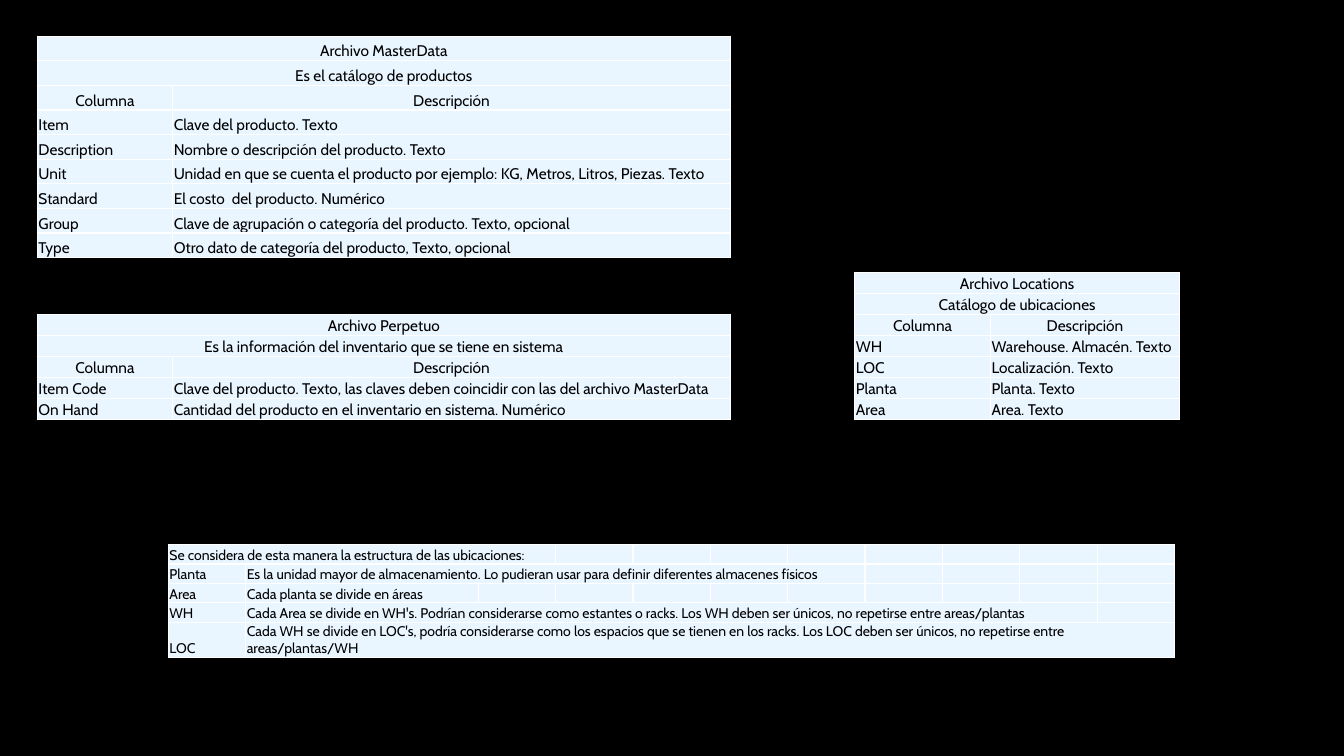
from lxml import etree
from pptx import Presentation
from pptx.dml.color import RGBColor
from pptx.enum.text import MSO_ANCHOR, PP_ALIGN
from pptx.oxml.ns import qn
from pptx.util import Cm, Pt

LEFT, CENTER = PP_ALIGN.LEFT, PP_ALIGN.CENTER
BOTTOM = MSO_ANCHOR.BOTTOM
FONT = "Cabin"
COLORS = {"back": "000000", "cell": "E9F5FF", "line": "FFFFFF", "text": "000000"}

HEADS = ("Columna", "Descripción")
FILES = [
    {
        "at": (0.94, 0.91), "cols": (3.41, 14.06), "row": 0.62,
        "titles": ("Archivo MasterData", "Es el catálogo de productos"),
        "fields": [
            ("Item", "Clave del producto. Texto"),
            ("Description", "Nombre o descripción del producto. Texto"),
            ("Unit", "Unidad en que se cuenta el producto por ejemplo: "
                     "KG, Metros, Litros, Piezas. Texto"),
            ("Standard", "El costo  del producto. Numérico"),
            ("Group", "Clave de agrupación o categoría del producto. Texto, opcional"),
            ("Type", "Otro dato de categoría del producto, Texto, opcional"),
        ],
    },
    {
        "at": (0.94, 7.92), "cols": (3.41, 14.06), "row": 0.53,
        "titles": ("Archivo Perpetuo",
                   "Es la información del inventario que se tiene en sistema"),
        "fields": [
            ("Item Code", "Clave del producto. Texto, las claves deben coincidir "
                          "con las del archivo MasterData"),
            ("On Hand", "Cantidad del producto en el inventario en sistema. Numérico"),
        ],
    },
    {
        "at": (21.54, 6.86), "cols": (3.42, 4.77), "row": 0.53,
        "titles": ("Archivo Locations", "Catálogo de ubicaciones"),
        "fields": [
            ("WH", "Warehouse. Almacén. Texto"),
            ("LOC", "Localización. Texto"),
            ("Planta", "Planta. Texto"),
            ("Area", "Area. Texto"),
        ],
    },
]

LEVELS = {"at": (4.24, 13.72), "cols": (1.95, 5.86) + (1.95,) * 9, "row": 0.49}
LEAD = "Se considera de esta manera la estructura de las ubicaciones:"
# Level name, meaning, columns the meaning spans
NOTES = [
    ("Planta", "Es la unidad mayor de almacenamiento. Lo pudieran usar para "
               "definir diferentes almacenes físicos", 6),
    ("Area", "Cada planta se divide en áreas", 1),
    ("WH", "Cada Area se divide en WH's. Podrían considerarse como estantes o racks. "
           "Los WH deben ser únicos, no repetirse entre areas/plantas", 9),
    ("LOC", "Cada WH se divide en LOC's, podría considerarse como los espacios que se "
            "tienen en los racks. Los LOC deben ser únicos, no repetirse entre "
            "areas/plantas/WH", 10),
]


def color(key):
    return RGBColor.from_string(COLORS[key])


def style(cell, size):
    """Set insets, borders, fill and the height of an empty line."""
    cell.margin_left = cell.margin_right = cell.margin_top = Cm(0.03)
    cell.margin_bottom = 0
    cell.vertical_anchor = BOTTOM
    props = cell._tc.get_or_add_tcPr()
    for side in ("lnL", "lnR", "lnT", "lnB"):
        line = etree.SubElement(props, qn("a:" + side), w=str(Pt(1)))
        fill = etree.SubElement(line, qn("a:solidFill"))
        etree.SubElement(fill, qn("a:srgbClr"), val=COLORS["line"])
    cell.fill.solid()
    cell.fill.fore_color.rgb = color("cell")
    end = etree.SubElement(cell.text_frame.paragraphs[0]._p, qn("a:endParaRPr"))
    end.set("sz", str(size * 100))


def write(cell, text, size, align):
    para = cell.text_frame.paragraphs[0]
    para.alignment = align
    run = para.add_run()
    run.text = text
    run.font.name = FONT
    run.font.size = Pt(size)
    run.font.color.rgb = color("text")


def add_grid(slide, spec, rows, size):
    """Draw rows given as (alignment, [(text, column span), ...])."""
    cols, high = spec["cols"], spec["row"]
    left, top = spec["at"]
    frame = slide.shapes.add_table(len(rows), len(cols), Cm(left), Cm(top),
                                   Cm(sum(cols)), Cm(high * len(rows)))
    table = frame.table
    table.first_row = table.horz_banding = False
    for col, width in zip(table.columns, cols):
        col.width = Cm(width)
    for row in table.rows:
        row.height = Cm(high)
    for cell in table.iter_cells():
        style(cell, size)
    for r, (align, parts) in enumerate(rows):
        c = 0
        for text, span in parts:
            cell = table.cell(r, c)
            if span > 1:
                cell.merge(table.cell(r, c + span - 1))
            write(cell, text, size, align)
            c += span


def main():
    deck = Presentation()
    deck.slide_width, deck.slide_height = Cm(33.87), Cm(19.05)
    slide = deck.slides.add_slide(deck.slide_layouts[6])
    slide.background.fill.solid()
    slide.background.fill.fore_color.rgb = color("back")

    for file in FILES:
        rows = [(CENTER, [(title, 2)]) for title in file["titles"]]
        rows.append((CENTER, [(head, 1) for head in HEADS]))
        rows += [(LEFT, [(text, 1) for text in field]) for field in file["fields"]]
        add_grid(slide, file, rows, 11)

    rows = [(LEFT, [(LEAD, 3)])]
    rows += [(LEFT, [(name, 1), (text, span)]) for name, text, span in NOTES]
    add_grid(slide, LEVELS, rows, 10)
    deck.save("out.pptx")


if __name__ == "__main__":
    main()
